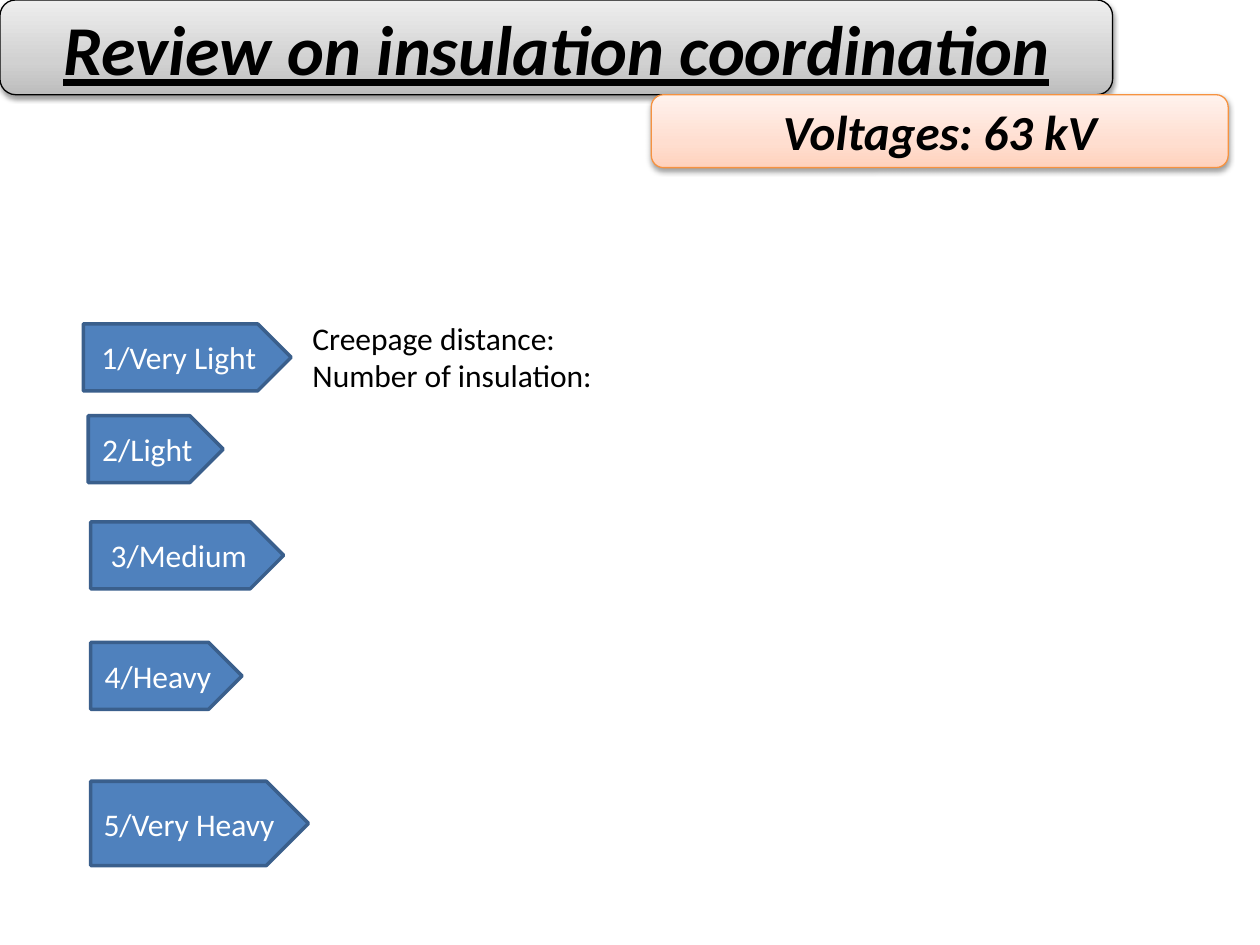
from lxml import etree
from pptx import Presentation
from pptx import util as u
from pptx.dml.color import RGBColor
from pptx.enum import shapes, text
from pptx.oxml.ns import qn

KIND = shapes.MSO_SHAPE


def paint(code):
    return RGBColor.from_string(code)


def tint(node, code, alpha=100):
    clr = etree.SubElement(node, qn("a:srgbClr"), val=code)
    if alpha < 100:
        etree.SubElement(clr, qn("a:alpha"), val=str(alpha * 1000))


class Board:
    font = "Calibri"
    size = 18
    blue, edge = "4F81BD", "3A5F8C"

    def __init__(self, deck):
        self.slide = deck.slides.add_slide(deck.slide_layouts[6])

    def label(self, frame, lines, size, color, align, bold=None, italic=None, under=None):
        for i, line in enumerate(lines):
            para = frame.paragraphs[0] if i == 0 else frame.add_paragraph()
            para.alignment = align
            run = para.add_run()
            run.text = line
            font = run.font
            font.name, font.size = self.font, u.Pt(size)
            font.color.rgb = paint(color)
            font.bold, font.italic, font.underline = bold, italic, under

    def shape(self, kind, box, line, width):
        item = self.slide.shapes.add_shape(kind, *map(u.Cm, box))
        item.shadow.inherit = False
        item.line.color.rgb = paint(line)
        item.line.width = u.Pt(width)
        item.text_frame.vertical_anchor = text.MSO_ANCHOR.MIDDLE
        return item

    def arrow(self, words, left, top, width, height=1.35):
        item = self.shape(KIND.PENTAGON, (left, top, width, height), self.edge, 2)
        item.fill.solid()
        item.fill.fore_color.rgb = paint(self.blue)
        item.text_frame.word_wrap = False
        self.label(item.text_frame, [words], self.size, "FFFFFF", text.PP_ALIGN.CENTER)

    def banner(self, words, box, stops, line, size, under=None):
        item = self.shape(KIND.ROUNDED_RECTANGLE, box, line, 0.75)
        # Gradient from the bottom up
        item.fill.gradient()
        item.fill.gradient_angle = 90
        props = item._element.spPr
        grad = props.find(qn("a:gradFill")).find(qn("a:gsLst"))
        for old in list(grad):
            grad.remove(old)
        for pos, code in zip((0, 35, 100), stops):
            tint(etree.SubElement(grad, qn("a:gs"), pos=str(pos * 1000)), code)
        # Soft shadow below
        drop = etree.SubElement(
            props.find(qn("a:effectLst")), qn("a:outerShdw"),
            blurRad=str(u.Pt(3.1)), dist=str(u.Pt(1.6)),
            dir=str(90 * 60000), rotWithShape="0")
        tint(drop, "000000", 38)
        self.label(item.text_frame, [words], size, "000000", text.PP_ALIGN.CENTER,
                   bold=True, italic=True, under=under)

    def note(self, lines, box):
        frame = self.slide.shapes.add_textbox(*map(u.Cm, box)).text_frame
        frame.word_wrap = True
        frame.auto_size = text.MSO_AUTO_SIZE.SHAPE_TO_FIT_TEXT
        self.label(frame, lines, self.size, "000000", text.PP_ALIGN.LEFT)


def main():
    deck = Presentation()
    deck.slide_width, deck.slide_height = u.Cm(25.4), u.Cm(19.05)
    board = Board(deck)

    # Pollution levels
    for level in (
        ("1/Very Light", 1.68, 6.53, 4.19),
        ("2/Light", 1.78, 8.38, 2.72),
        ("3/Medium", 1.83, 10.52, 3.89),
        ("4/Heavy", 1.83, 12.95, 3.05),
        ("5/Very Heavy", 1.83, 15.75, 4.39, 1.7),
    ):
        board.arrow(*level)

    # Values to find
    board.note(["Creepage distance:", "Number of insulation:"], (6.05, 6.3, 8.89, 1.8))

    # Title and voltage
    board.banner("Review on insulation coordination", (0, 0, 22.43, 1.91),
                 ("BDBDBD", "D1D1D1", "EEEEEE"), "000000", 40, under=True)
    board.banner("Voltages: 63 kV", (13.13, 1.91, 11.63, 1.47),
                 ("FFD2BD", "FFDED0", "FFF2ED"), "F69240", 28)

    deck.save("out.pptx")


if __name__ == "__main__":
    main()
